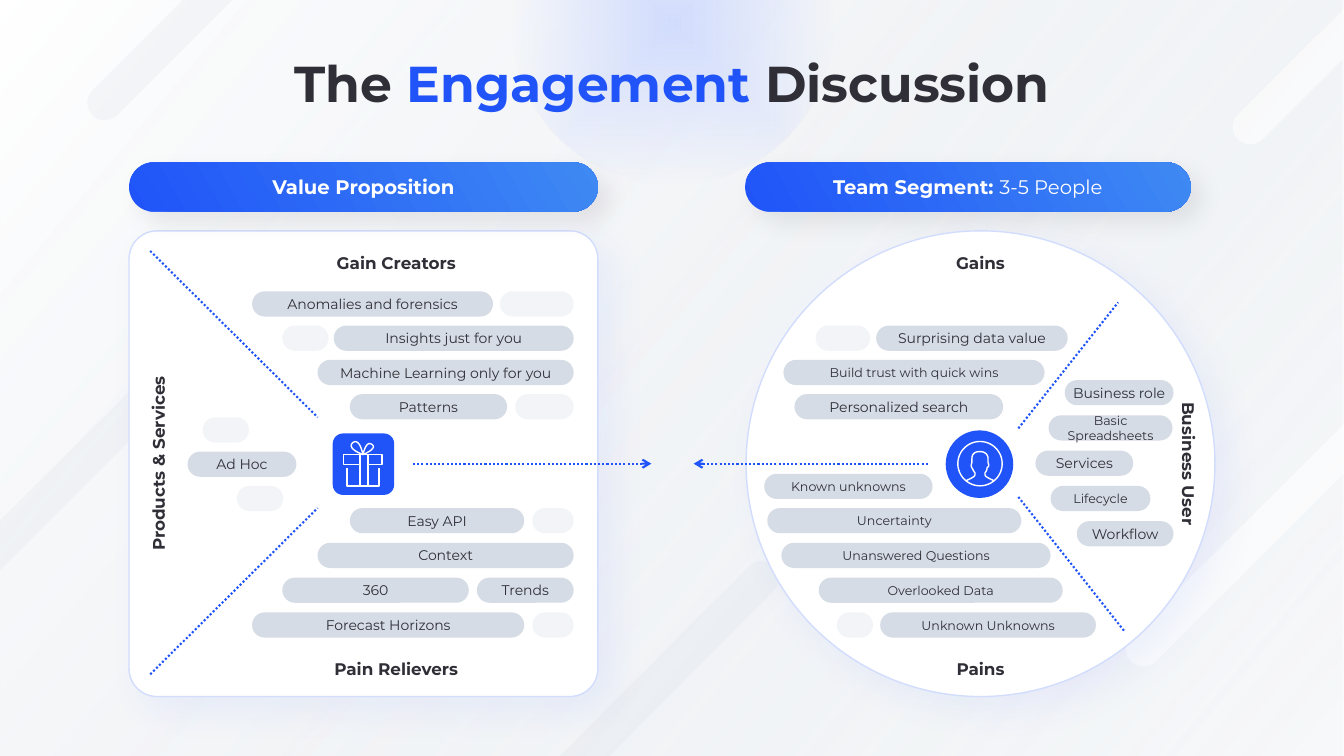
from dataclasses import dataclass

from lxml import etree
from pptx import Presentation
from pptx import util as u
from pptx.dml.color import RGBColor
from pptx.enum import dml, shapes, text
from pptx.oxml.ns import qn

FONT = "Montserrat"
BLUE = RGBColor(0x20, 0x54, 0xF8)
SKY = RGBColor(0x3E, 0x89, 0xF3)
PALE_BLUE = RGBColor(0xD2, 0xDD, 0xFE)
GREY = RGBColor(0xD6, 0xDC, 0xE5)
INK = RGBColor(0x30, 0x2F, 0x37)
WHITE = RGBColor(0xFF, 0xFF, 0xFF)
BLACK = RGBColor(0, 0, 0)

RECT = shapes.MSO_SHAPE.RECTANGLE
ROUNDED = shapes.MSO_SHAPE.ROUNDED_RECTANGLE
OVAL = shapes.MSO_SHAPE.OVAL
PILL_HEIGHT = 0.25


@dataclass
class Span:
    words: str
    color: RGBColor = INK
    bold: bool = True


@dataclass
class Line:
    start: tuple[float, float]
    end: tuple[float, float]
    color: RGBColor = BLUE
    alpha: int = 100
    arrow: bool = False


@dataclass
class Heading:
    words: str
    left: float
    top: float
    width: float
    rotation: int = 0


@dataclass
class Pill:
    left: float
    width: float
    label: str = ""
    size: int = 10


@dataclass
class Shadow:
    color: RGBColor
    alpha: int
    blur: int
    distance: int


BANNER_SHADOW = Shadow(BLACK, 8, 17, 10)
PANEL_SHADOW = Shadow(BLUE, 6, 25, 14)

STRIPES = [
    Line((-0.25, 5.66), (1.86, 3.55), GREY, 20),
    Line((1.04, 1.02), (2.23, -0.17), GREY, 20),
    Line((11.34, 6.44), (13.46, 4.32), WHITE, 65),
    Line((5.61, 7.69), (7.55, 5.74), GREY, 18),
    Line((12.4, 1.26), (13.46, 0.2), WHITE, 55),
]
DOTTED_LINES = [
    Line((1.49, 2.49), (3.15, 4.14)),
    Line((1.49, 6.69), (3.15, 5.04)),
    Line((6.46, 4.6), (4.1, 4.6), arrow=True),
    Line((6.88, 4.6), (9.21, 4.6), arrow=True),
    Line((10.1, 4.25), (11.09, 3)),
    Line((10.1, 4.93), (11.15, 6.26)),
]
HEADINGS = [
    Heading("Products & Services", -0.36, 4.41, 3.82, 270),
    Heading("Business User", 9.9, 4.41, 3.82, 90),
    Heading("Gain Creators", 2.17, 2.4, 3.52),
    Heading("Pain Relievers", 2.17, 6.43, 3.52),
    Heading("Gains", 8.89, 2.4, 1.67),
    Heading("Pains", 8.89, 6.43, 1.67),
]
# Each group: top of its first row, distance between rows, rows of pills
PILL_GROUPS = [
    (2.89, 0.34, [
        [Pill(2.5, 2.39, "Anomalies and forensics"), Pill(4.96, 0.73)],
        [Pill(2.8, 0.46), Pill(3.31, 2.38, "Insights just for you"),
         Pill(8.09, 0.54), Pill(8.69, 1.9, "Surprising data value")],
        [Pill(3.15, 2.54, "Machine Learning only for you"),
         Pill(7.77, 2.59, "Build trust with quick wins", 9)],
        [Pill(3.47, 1.56, "Patterns"), Pill(5.11, 0.58), Pill(7.88, 2.07, "Personalized search")],
    ]),
    (4.14, 0.34, [[Pill(2.01, 0.46)], [Pill(1.86, 1.08, "Ad Hoc")], [Pill(2.35, 0.46)]]),
    (4.7, 0.34, [[Pill(7.58, 1.67, "Known unknowns", 9)]]),
    (5.04, 0.345, [
        [Pill(3.47, 1.73, "Easy API"), Pill(5.28, 0.41), Pill(7.61, 2.52, "Uncertainty", 9)],
        [Pill(3.15, 2.54, "Context"), Pill(7.75, 2.67, "Unanswered Questions", 9)],
        [Pill(2.8, 1.85, "360"), Pill(4.73, 0.96, "Trends"),
         Pill(8.12, 2.42, "Overlooked Data", 9)],
        [Pill(2.5, 2.7, "Forecast Horizons"), Pill(5.28, 0.41),
         Pill(8.3, 0.36), Pill(8.73, 2.14, "Unknown Unknowns", 9)],
    ]),
    (3.77, 0.35, [
        [Pill(10.56, 1.08, "Business role")],
        [Pill(10.4, 1.23, "Basic Spreadsheets", 9)],
        [Pill(10.27, 0.97, "Services")],
        [Pill(10.42, 0.99, "Lifecycle", 9)],
        [Pill(10.68, 0.96, "Workflow")],
    ]),
]
# Icon outlines: a start, then points (2 numbers) or cubic curves (6 numbers)
OUTLINES = [
    [(3.44, 4.64), (3.44, 4.82), (3.76, 4.82), (3.76, 4.64)],
    [(3.64, 4.61), (3.79, 4.61), (3.79, 4.51), (3.41, 4.51), (3.41, 4.61), (3.57, 4.61)],
    [(3.6, 4.51), (3.6, 4.51, 3.43, 4.45, 3.5, 4.39), (3.57, 4.34, 3.6, 4.51, 3.6, 4.51)],
    [(3.6, 4.51), (3.6, 4.51, 3.63, 4.36, 3.69, 4.41), (3.75, 4.45, 3.6, 4.51, 3.6, 4.51)],
    [(9.86, 4.77), (9.82, 4.75, 9.77, 4.73, 9.77, 4.71), (9.77, 4.69),
     (9.78, 4.68, 9.79, 4.66, 9.79, 4.64), (9.81, 4.63, 9.81, 4.61, 9.8, 4.59), (9.8, 4.55),
     (9.8, 4.51, 9.77, 4.48, 9.72, 4.48), (9.66, 4.48, 9.64, 4.51, 9.64, 4.55), (9.64, 4.59),
     (9.63, 4.61, 9.63, 4.63, 9.64, 4.64), (9.65, 4.66, 9.66, 4.68, 9.67, 4.69), (9.67, 4.71),
     (9.67, 4.73, 9.62, 4.75, 9.58, 4.77)],
]


def add_color(parent, color: RGBColor, alpha: int) -> None:
    node = etree.SubElement(parent, qn("a:srgbClr"), val=str(color))
    etree.SubElement(node, qn("a:alpha"), val=str(alpha * 1000))


def set_alpha(parent, alpha: int) -> None:
    """Make the first solid colour below parent translucent."""
    node = next(parent.iter(qn("a:srgbClr")))
    etree.SubElement(node, qn("a:alpha"), val=str(alpha * 1000))


def set_gradient(shape, stops: list[tuple[int, RGBColor, int]], angle: int | None = None) -> None:
    """Fill along a clockwise angle, or outwards from the centre without one."""
    grad = etree.Element(qn("a:gradFill"), rotWithShape="1")
    stop_list = etree.SubElement(grad, qn("a:gsLst"))
    for position, color, alpha in stops:
        add_color(etree.SubElement(stop_list, qn("a:gs"), pos=str(position * 1000)), color, alpha)
    if angle is None:
        radial = etree.SubElement(grad, qn("a:path"), {"path": "shape"})
        etree.SubElement(radial, qn("a:fillToRect"), dict.fromkeys("ltrb", "50000"))
    else:
        etree.SubElement(grad, qn("a:lin"), ang=str(angle * 60000), scaled="0")
    shape.element.spPr.find(qn("a:prstGeom")).addnext(grad)


def add_shape(page, kind, left: float, top: float, width: float, height: float,
              fill: RGBColor | None = None, line: RGBColor | None = None,
              corner: float | None = None, shadow: Shadow | None = None):
    shape = page.shapes.add_shape(kind, *map(u.Inches, (left, top, width, height)))
    shape.shadow.inherit = False
    if fill is not None:
        shape.fill.solid()
        shape.fill.fore_color.rgb = fill
    if line is None:
        shape.line.fill.background()
    else:
        shape.line.color.rgb = line
        shape.line.width = u.Pt(1)
    if corner is not None:
        shape.adjustments[0] = corner
    if shadow:
        outer = etree.SubElement(
            shape.element.spPr.find(qn("a:effectLst")), qn("a:outerShdw"),
            blurRad=str(u.Pt(shadow.blur)), dist=str(u.Pt(shadow.distance)),
            dir=str(45 * 60000), algn="tl", rotWithShape="0")
        add_color(outer, shadow.color, shadow.alpha)
    return shape


def write(box, spans: list[Span], size: int, side: float = 0, edge: float = 0) -> None:
    frame = box.text_frame
    frame.word_wrap = True
    frame.vertical_anchor = text.MSO_ANCHOR.MIDDLE
    frame.margin_left = frame.margin_right = u.Inches(side)
    frame.margin_top = frame.margin_bottom = u.Inches(edge)
    para = frame.paragraphs[0]
    para.alignment = text.PP_ALIGN.CENTER
    for span in spans:
        run = para.add_run()
        run.text = span.words
        run.font.name, run.font.size, run.font.bold = FONT, u.Pt(size), span.bold
        run.font.color.rgb = span.color


def add_text(page, left: float, top: float, width: float, height: float,
             spans: list[Span], size: int):
    box = page.shapes.add_textbox(*map(u.Inches, (left, top, width, height)))
    write(box, spans, size)
    return box


def add_line(page, line: Line, width: float, dotted: bool) -> None:
    connector = page.shapes.add_connector(
        shapes.MSO_CONNECTOR.STRAIGHT, *map(u.Inches, line.start + line.end))
    connector.line.color.rgb = line.color
    connector.line.width = u.Pt(width)
    stroke = connector.line._get_or_add_ln()
    if dotted:
        connector.line.dash_style = dml.MSO_LINE.ROUND_DOT
    else:
        stroke.set("cap", "rnd")
    if line.alpha < 100:
        set_alpha(stroke, line.alpha)
    if line.arrow:
        etree.SubElement(stroke, qn("a:headEnd"), type="arrow")
    etree.SubElement(connector.element.spPr, qn("a:effectLst"))


def add_outline(page, steps: list[tuple[float, ...]]) -> None:
    points = [steps[0]]
    for step in steps[1:]:
        if len(step) == 2:
            points.append(step)
            continue
        corners = [points[-1], step[:2], step[2:4], step[4:]]
        for t in (i / 10 for i in range(1, 11)):
            weights = ((1 - t) ** 3, 3 * t * (1 - t) ** 2, 3 * t * t * (1 - t), t ** 3)
            points.append(tuple(sum(w * c[axis] for w, c in zip(weights, corners))
                                for axis in (0, 1)))
    places = [(u.Inches(x), u.Inches(y)) for x, y in points]
    builder = page.shapes.build_freeform(*places[0])
    builder.add_line_segments(places[1:], close=False)
    outline = builder.convert_to_shape()
    outline.shadow.inherit = False
    outline.fill.background()
    outline.line.color.rgb = WHITE
    outline.line.width = u.Pt(1)


def add_banner(page, left: float, width: float, spans: list[Span]) -> None:
    banner = add_shape(page, ROUNDED, left, 1.61, width, 0.49, corner=0.5, shadow=BANNER_SHADOW)
    set_gradient(banner, [(0, BLUE, 100), (100, SKY, 100)], 330)
    write(banner, spans, 14, 0.1, 0.05)


def add_pill(page, pill: Pill, top: float) -> None:
    shape = add_shape(page, ROUNDED, pill.left, top, pill.width, PILL_HEIGHT, GREY, corner=0.5)
    if pill.label:
        write(shape, [Span(pill.label, bold=False)], pill.size, edge=0.05)
    else:
        set_alpha(shape.element.spPr, 30)


def main() -> None:
    deck = Presentation()
    deck.slide_width, deck.slide_height = u.Inches(13.33), u.Inches(7.5)
    page = deck.slides.add_slide(deck.slide_layouts[6])

    backdrop = add_shape(page, RECT, 0, 0, 13.33, 7.5)
    set_gradient(backdrop, [(0, WHITE, 100), (98, GREY, 20)], 40)
    for stripe in STRIPES:
        add_line(page, stripe, 25, dotted=False)
    glow = add_shape(page, OVAL, 5.07, -1.37, 3.2, 3.2)
    set_gradient(glow, [(0, PALE_BLUE, 100), (100, PALE_BLUE, 0)])
    add_text(page, 0.58, 0.32, 12.17, 1,
             [Span("The"), Span(" Engagement ", BLUE), Span("Discussion")], 36)

    add_banner(page, 7.39, 4.42, [Span("Team Segment: ", WHITE), Span("3-5 People", WHITE, False)])
    add_shape(page, ROUNDED, 1.28, 2.29, 4.65, 4.62, WHITE, PALE_BLUE, 0.06, PANEL_SHADOW)
    add_shape(page, OVAL, 7.4, 2.29, 4.65, 4.62, WHITE, PALE_BLUE, shadow=PANEL_SHADOW)
    add_banner(page, 1.28, 4.65, [Span("Value Proposition", WHITE)])

    add_shape(page, ROUNDED, 3.3, 4.3, 0.61, 0.61, BLUE)
    add_shape(page, OVAL, 9.38, 4.27, 0.67, 0.67, BLUE)
    for kind, *place in ((RECT, 3.57, 4.51, 0.08, 0.31), (OVAL, 9.5, 4.38, 0.44, 0.44)):
        add_shape(page, kind, *place, line=WHITE).fill.background()
    for outline in OUTLINES:
        add_outline(page, outline)

    for line in DOTTED_LINES:
        add_line(page, line, 1.5, dotted=True)
    for heading in HEADINGS:
        box = add_text(page, heading.left, heading.top, heading.width, 0.38,
                       [Span(heading.words)], 12)
        box.rotation = heading.rotation
        box.text_frame.paragraphs[0].line_spacing = 1.2
    for first_top, step, rows in PILL_GROUPS:
        for index, row in enumerate(rows):
            for pill in row:
                add_pill(page, pill, first_top + step * index)
    deck.save("out.pptx")


if __name__ == "__main__":
    main()
